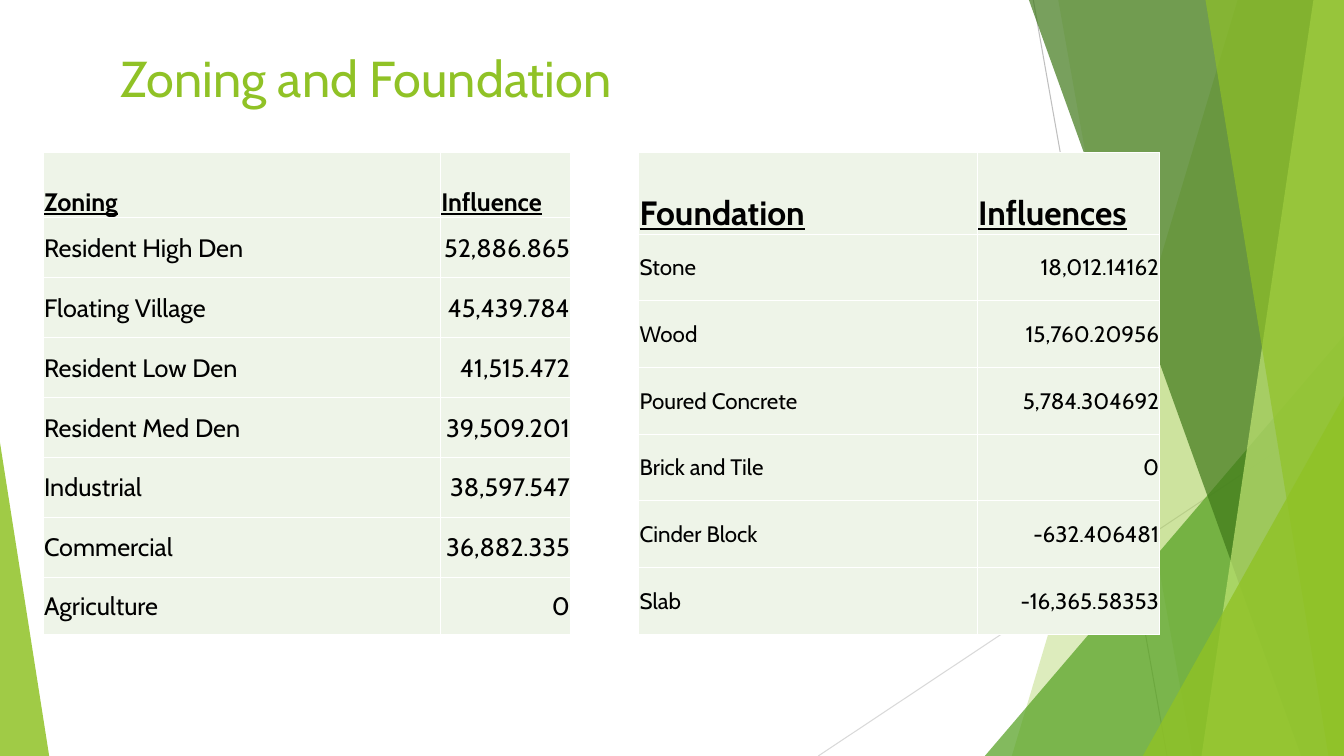
from dataclasses import dataclass

from lxml import etree
from pptx import Presentation
from pptx import util as u
from pptx.dml.color import RGBColor
from pptx.enum import shapes, text
from pptx.oxml import ns

Cm = u.Cm
WIDTH, HEIGHT = 33.87, 19.05


@dataclass(frozen=True)
class Theme:
    font: str = "Cabin"
    title_size: int = 36
    green: str = "90C226"
    mid_green: str = "54A021"
    dark_green: str = "3F7819"
    pale_green: str = "C0E474"
    cell: str = "EEF4E8"
    white: str = "FFFFFF"
    black: str = "000000"
    line: str = "BFBFBF"
    pale_line: str = "D9D9D9"


THEME = Theme()

ZONING = [
    ("Zoning", "Influence"),
    ("Resident High Den", "52,886.865"),
    ("Floating Village", "45,439.784"),
    ("Resident Low Den", "41,515.472"),
    ("Resident Med Den", "39,509.201"),
    ("Industrial", "38,597.547"),
    ("Commercial", "36,882.335"),
    ("Agriculture", "0"),
]
FOUNDATION = [
    ("Foundation", "Influences"),
    ("Stone", "18,012.14162"),
    ("Wood", "15,760.20956"),
    ("Poured Concrete", "5,784.304692"),
    ("Brick and Tile", "0"),
    ("Cinder Block", "-632.406481"),
    ("Slab", "-16,365.58353"),
]


def rgb(color):
    return RGBColor.from_string(color)


def style_run(run, size, color, bold=False):
    run.font.name = THEME.font
    run.font.size = u.Pt(size)
    run.font.color.rgb = rgb(color)
    run.font.bold = bold
    run.font.underline = bold


def fill_shape(shape, color, opacity):
    """Fill without outline or shadow; opacity is in percent."""
    shape.shadow.inherit = False
    shape.line.fill.background()
    shape.fill.solid()
    shape.fill.fore_color.rgb = rgb(color)
    color_element = shape.fill._xPr.find(".//" + ns.qn("a:srgbClr"))
    etree.SubElement(color_element, ns.qn("a:alpha"), val=str(opacity * 1000))


def add_line(slide, start, end, color):
    line = slide.shapes.add_connector(
        shapes.MSO_CONNECTOR.STRAIGHT, *(Cm(value) for value in start + end))
    line.line.color.rgb = rgb(color)
    line.line.width = u.Pt(0.75)
    etree.SubElement(line._element.spPr, ns.qn("a:effectLst"))


def add_shard(slide, top_x, bottom_x, color, opacity):
    """Full-height band from a slanted left edge to the right slide edge."""
    builder = slide.shapes.build_freeform(Cm(top_x), 0)
    corners = [(WIDTH, 0), (WIDTH, HEIGHT), (bottom_x, HEIGHT)]
    builder.add_line_segments([(Cm(x), Cm(y)) for x, y in corners], close=True)
    fill_shape(builder.convert_to_shape(), color, opacity)


def add_corner(slide, left, top, width, apex, color, opacity):
    """Right triangle standing on the bottom edge of the slide."""
    triangle = slide.shapes.add_shape(
        shapes.MSO_SHAPE.ISOSCELES_TRIANGLE,
        Cm(left), Cm(top), Cm(width), Cm(HEIGHT - top))
    triangle.adjustments[0] = apex
    fill_shape(triangle, color, opacity)


def add_backdrop(slide):
    add_line(slide, (26.04, 0), (29.41, HEIGHT), THEME.line)
    add_line(slide, (WIDTH, 10.24), (20.62, HEIGHT), THEME.pale_line)
    add_shard(slide, 31.19, 25.5, THEME.green, 30)
    add_shard(slide, 26.67, 30.05, THEME.green, 20)
    add_corner(slide, 24.82, 8.46, WIDTH - 24.82, 1, THEME.mid_green, 72)
    add_shard(slide, 25.93, 32.79, THEME.dark_green, 70)
    add_shard(slide, 33.1, 30.28, THEME.pale_green, 70)
    add_shard(slide, 30.38, 33.48, THEME.green, 65)
    add_corner(slide, 28.8, 9.98, WIDTH - 28.8, 1, THEME.green, 80)
    add_corner(slide, 0, 11.15, 1.24, 0, THEME.green, 85)


def add_title(slide, left, top, width, height, title):
    box = slide.shapes.add_textbox(Cm(left), Cm(top), Cm(width), Cm(height))
    frame = box.text_frame
    frame.word_wrap = True
    frame.vertical_anchor = text.MSO_ANCHOR.TOP
    frame.text = title
    style_run(frame.paragraphs[0].runs[0], THEME.title_size, THEME.green)


def add_borders(cell):
    properties = cell._tc.get_or_add_tcPr()
    for side in ("lnL", "lnR", "lnT", "lnB"):
        border = etree.SubElement(properties, ns.qn("a:" + side), w=str(u.Pt(1)))
        fill = etree.SubElement(border, ns.qn("a:solidFill"))
        etree.SubElement(fill, ns.qn("a:srgbClr"), val=THEME.white)


def fill_cell(cell, value, size, header, numeric):
    cell.margin_left = cell.margin_right = cell.margin_top = Cm(0.02)
    cell.margin_bottom = 0
    cell.vertical_anchor = text.MSO_ANCHOR.BOTTOM if header else text.MSO_ANCHOR.MIDDLE
    add_borders(cell)
    cell.fill.solid()
    cell.fill.fore_color.rgb = rgb(THEME.cell)
    cell.text_frame.text = value
    paragraph = cell.text_frame.paragraphs[0]
    right = numeric and not header
    paragraph.alignment = text.PP_ALIGN.RIGHT if right else text.PP_ALIGN.LEFT
    style_run(paragraph.runs[0], size, THEME.black, bold=header)


def add_influence_table(slide, left, top, rows, widths, heights, header_size, body_size):
    table = slide.shapes.add_table(
        len(rows), len(widths), Cm(left), Cm(top),
        Cm(sum(widths)), Cm(sum(heights))).table
    for column, width in zip(table.columns, widths):
        column.width = Cm(width)
    for index, (values, height) in enumerate(zip(rows, heights)):
        table.rows[index].height = Cm(height)
        header = index == 0
        size = header_size if header else body_size
        for column, value in enumerate(values):
            fill_cell(table.cell(index, column), value, size, header, column == 1)


def add_zoning_slide(presentation):
    slide = presentation.slides.add_slide(presentation.slide_layouts[6])
    add_backdrop(slide)
    add_influence_table(slide, 16.1, 3.84, FOUNDATION, (8.53, 4.6),
                        [2.06] + [1.68] * 6, 24, 16)
    add_title(slide, 2.79, 1.07, 23.88, 3.66, "Zoning and Foundation")
    add_influence_table(slide, 1.09, 3.84, ZONING, (10.01, 3.28),
                        [1.65] + [1.51] * 6 + [1.44], 18, 18)


def main():
    presentation = Presentation()
    presentation.slide_width = Cm(WIDTH)
    presentation.slide_height = Cm(HEIGHT)
    add_zoning_slide(presentation)
    presentation.save("out.pptx")


if __name__ == "__main__":
    main()
